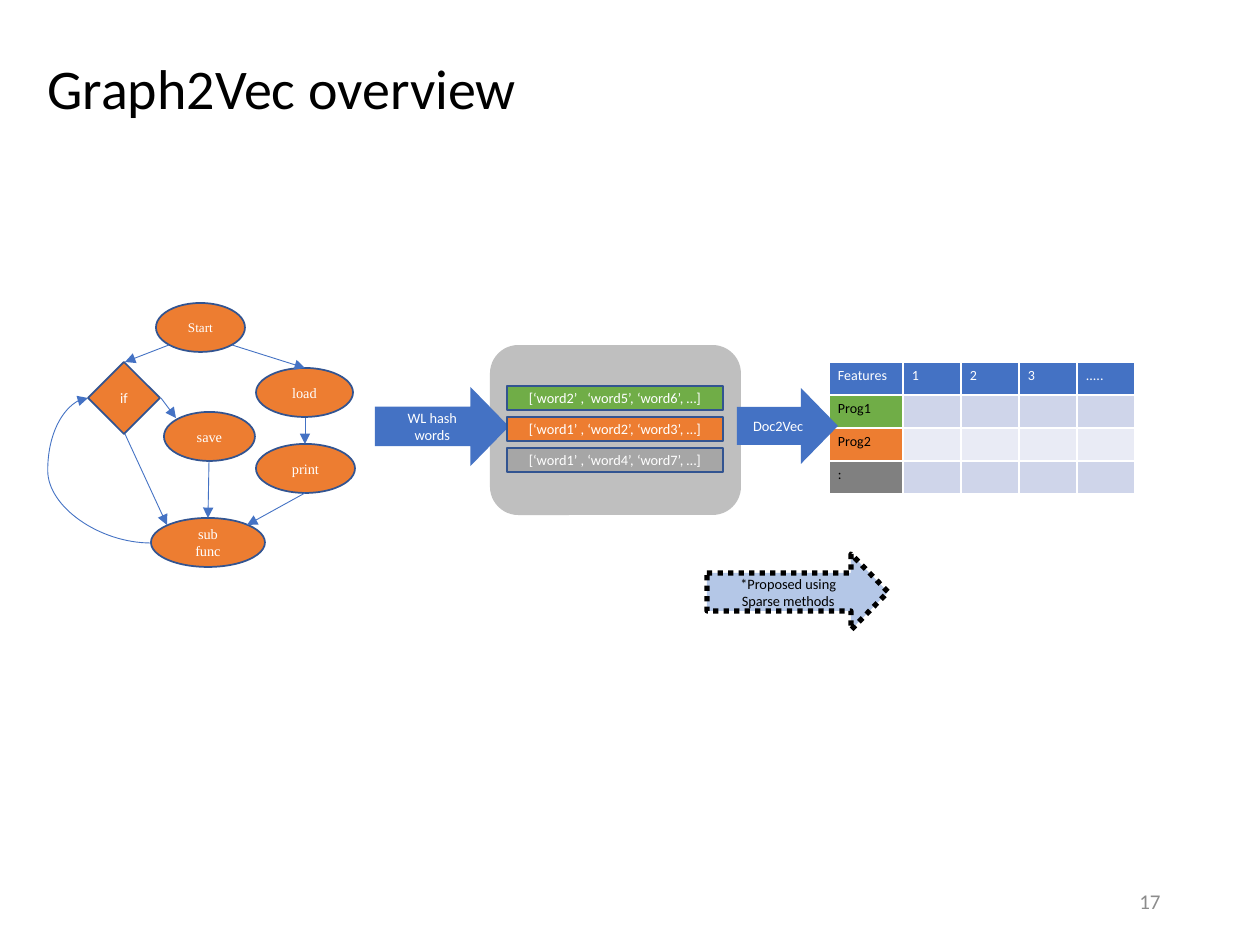
from lxml.etree import SubElement
from pptx import Presentation
from pptx.dml.color import RGBColor
from pptx.enum.dml import MSO_LINE
from pptx.enum.shapes import MSO_CONNECTOR, MSO_SHAPE
from pptx.enum.text import MSO_ANCHOR, PP_ALIGN
from pptx.oxml.ns import qn
from pptx.util import Inches, Pt

PX = 7257  # EMU per px, 126 px to the inch
BLUE, ORANGE, GREEN, OUTLINE = "4472C4", "ED7D31", "70AD47", "325491"
color = RGBColor.from_string

deck = Presentation()
deck.slide_width, deck.slide_height = Inches(10), Inches(7.5)
slide = deck.slides.add_slide(deck.slide_layouts[6])
shapes = slide.shapes


def write(frame, text, font="Calibri", size=8.2, ink="FFFFFF", align=PP_ALIGN.CENTER,
          anchor=MSO_ANCHOR.MIDDLE, side=None, spacing=None):
    """Fill a text frame, one paragraph per line; side is the left and right inset in px."""
    frame.word_wrap = True
    frame.vertical_anchor = anchor
    if side is not None:
        frame.margin_left = frame.margin_right = side * PX
        frame.margin_top = frame.margin_bottom = 0
    for i, line in enumerate(text.split("\n")):
        paragraph = frame.add_paragraph() if i else frame.paragraphs[0]
        paragraph.alignment = align
        paragraph.line_spacing = spacing
        run = paragraph.add_run()
        run.text = line
        run.font.name, run.font.size = font, Pt(size)
        run.font.color.rgb = color(ink)


def add_block(preset, box, fill, line=None, weight=1):
    block = shapes.add_shape(preset, *(n * PX for n in box))
    block.shadow.inherit = False
    block.fill.solid()
    block.fill.fore_color.rgb = color(fill)
    if line:
        block.line.color.rgb = color(line)
        block.line.width = Pt(weight)
    else:
        block.line.fill.background()
    return block


# Title and page number
title = shapes.add_textbox(35 * PX, 0, 1086 * PX, 183 * PX)
write(title.text_frame, "Graph2Vec overview", size=32, ink="000000",
      align=PP_ALIGN.LEFT, spacing=0.9)
page_number = shapes.add_textbox(890 * PX, 876 * PX, 283 * PX, 50 * PX)
write(page_number.text_frame, "17", size=12, ink="8C8C8C", align=PP_ALIGN.RIGHT)

# Program graph: nodes
for label, x, y, width, size in [
    ("Start", 156, 303, 89, 7.5),
    ("load", 256, 368, 97, 8.2),
    ("print", 256, 444, 99, 8.2),
    ("sub\nfunc", 151, 518, 114, 8.2),
    ("save", 164, 412, 91, 8.2),
]:
    node = add_block(MSO_SHAPE.OVAL, (x, y, width, 49), ORANGE, OUTLINE)
    write(node.text_frame, label, font="Times New Roman", size=size, side=0)

# Program graph: edges, the last one looping back from sub func to if
STRAIGHT, CURVE = MSO_CONNECTOR.STRAIGHT, MSO_CONNECTOR.CURVE
for route, *ends in [
    (STRAIGHT, 232, 345, 305, 368),
    (STRAIGHT, 169, 345, 125, 362),
    (STRAIGHT, 305, 418, 305, 444),
    (STRAIGHT, 161, 398, 176, 418),
    (STRAIGHT, 209, 461, 208, 518),
    (STRAIGHT, 305, 493, 247, 525),
    (STRAIGHT, 125, 434, 167, 525),
    (CURVE, 88, 398, 151, 543),
]:
    edge = shapes.add_connector(route, *(n * PX for n in ends))
    edge.line.color.rgb = color(BLUE)
    edge.line.width = Pt(0.5)
    properties = edge._element.spPr
    SubElement(properties.find(qn("a:ln")), qn("a:tailEnd"), type="triangle")
    SubElement(properties, qn("a:effectLst"))
    if route == CURVE:
        properties.find(qn("a:xfrm")).set("rot", "10800000")
        bulge = properties.find(qn("a:prstGeom")).find(qn("a:avLst"))
        SubElement(bulge, qn("a:gd"), name="adj1", fmla="val 164000")

condition = add_block(MSO_SHAPE.DIAMOND, (88, 362, 72, 72), ORANGE, OUTLINE)
write(condition.text_frame, "if", side=0)

# Panel behind the word lists
add_block(MSO_SHAPE.ROUNDED_RECTANGLE, (490, 345, 251, 170), "BFBFBF")

# Feature table
rows = [
    (["Features", "1", "2", "3", "....."], BLUE, BLUE, "FFFFFF"),
    (["Prog1", "", "", "", ""], GREEN, "CFD5EA", "000000"),
    (["Prog2", "", "", "", ""], ORANGE, "E9EBF5", "000000"),
    ([":", "", "", "", ""], "808080", "CFD5EA", "000000"),
]
features = shapes.add_table(4, 5, 829 * PX, 362 * PX, 306 * PX, 132 * PX).table
for column, width in zip(features.columns, [74, 58, 58, 58, 58]):
    column.width = width * PX
for r, (labels, first_fill, other_fill, ink) in enumerate(rows):
    features.rows[r].height = 33 * PX
    for c, label in enumerate(labels):
        cell = features.cell(r, c)
        cell.margin_left = cell.margin_right = 9 * PX
        cell.margin_top = cell.margin_bottom = 5 * PX
        if label:
            write(cell.text_frame, label, size=8, ink=ink, align=PP_ALIGN.LEFT,
                  anchor=MSO_ANCHOR.TOP)
        else:
            SubElement(cell.text_frame.paragraphs[0]._p, qn("a:endParaRPr"), sz="800")
        cell_properties = cell._tc.get_or_add_tcPr()
        for side in ("a:lnL", "a:lnR", "a:lnT", "a:lnB"):
            border = SubElement(cell_properties, qn(side), w=str(Pt(1)))
            paint = SubElement(border, qn("a:solidFill"))
            SubElement(paint, qn("a:srgbClr"), val="FFFFFF")
        cell.fill.solid()
        cell.fill.fore_color.rgb = color(other_fill if c else first_fill)

# Step arrows
for label, box, fill, ink, side in [
    ("WL hash words", (375, 387, 134, 79), BLUE, "FFFFFF", 16),
    ("Doc2Vec", (737, 388, 101, 76), BLUE, "FFFFFF", 0),
    ("*Proposed using\nSparse methods", (707, 554, 181, 76), "B4C7E7", "000000", 0),
]:
    step = add_block(MSO_SHAPE.RIGHT_ARROW, box, fill)
    step.adjustments[1] = 0.487
    write(step.text_frame, label, ink=ink, side=side)
# The last step is only proposed, so it is dotted
step.line.color.rgb = color("000000")
step.line.width = Pt(3)
step.line.dash_style = MSO_LINE.ROUND_DOT

# Word lists, one per program
for i, (words, fill) in enumerate([
    ("[‘word2’ , ‘word5’, ‘word6’, …]", GREEN),
    ("[‘word1’ , ‘word2’, ‘word3’, …]", ORANGE),
    ("[‘word1’ , ‘word4’, ‘word7’, …]", "A6A6A6"),
]):
    word_list = add_block(MSO_SHAPE.RECTANGLE, (507, 386 + 31 * i, 216, 24), fill, OUTLINE)
    write(word_list.text_frame, words, side=0)

deck.save("out.pptx")
